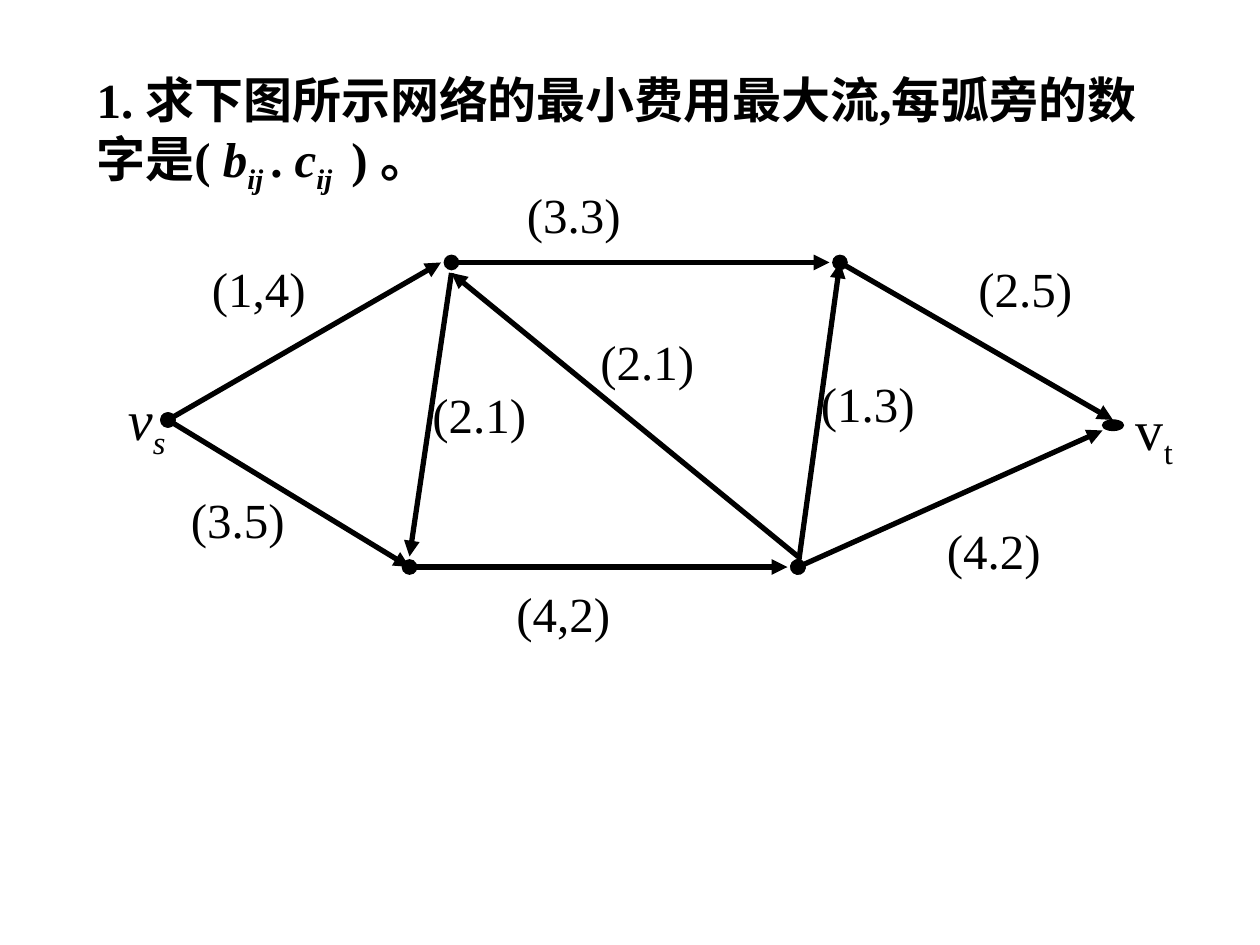
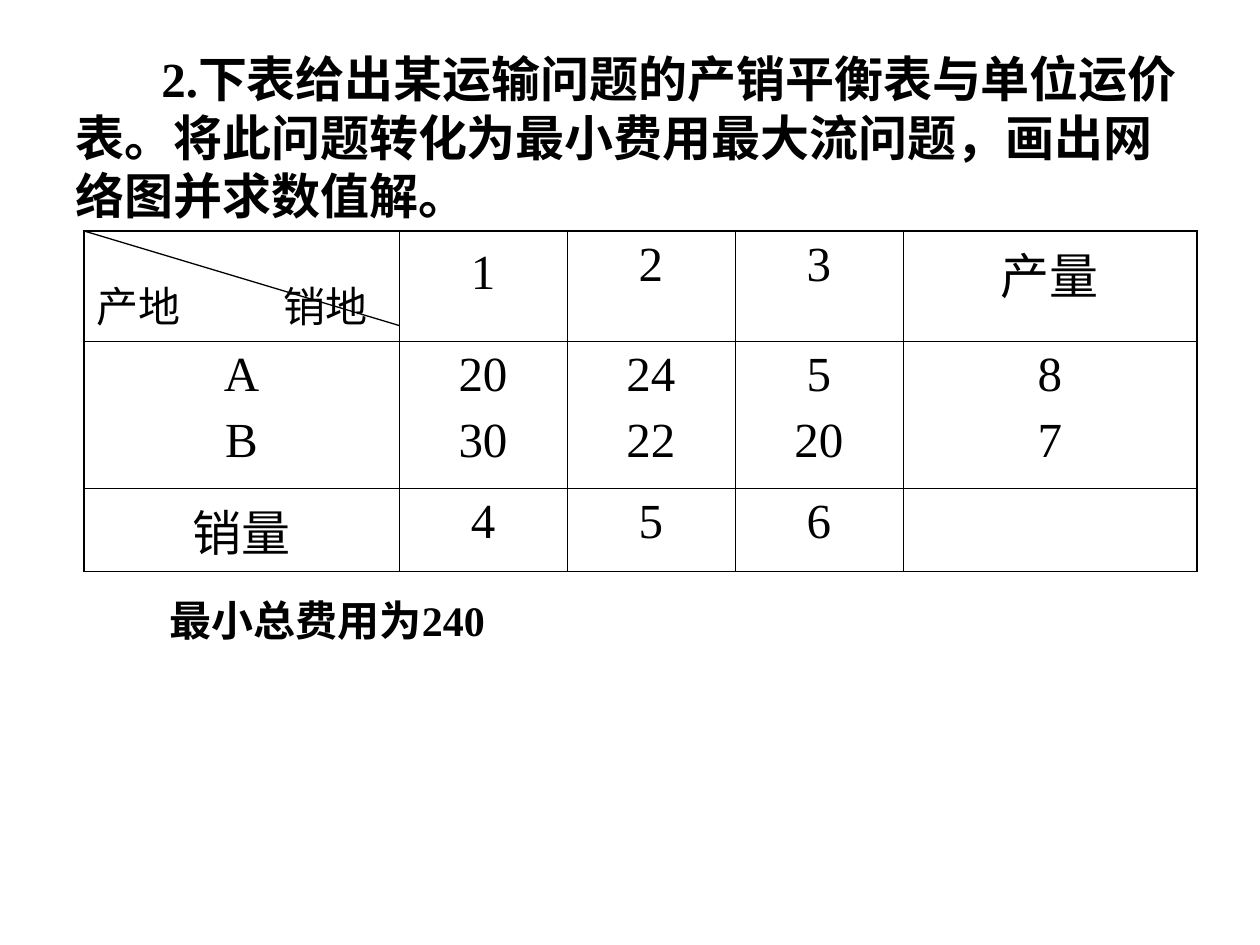
from dataclasses import dataclass

from lxml.etree import SubElement
from pptx import Presentation
from pptx.dml.color import RGBColor
from pptx.enum.shapes import MSO_CONNECTOR as Conn, MSO_SHAPE as Shape
from pptx.enum.text import MSO_ANCHOR as Anchor, MSO_AUTO_SIZE as Auto, PP_ALIGN as Align
from pptx.oxml.ns import qn
from pptx.util import Pt


@dataclass(frozen=True)
class Theme:
    """Colours, font, type sizes and line widths shared by the slides."""
    ink: RGBColor = RGBColor(0, 0, 0)
    paper: RGBColor = RGBColor(255, 255, 255)
    font: str = "Times New Roman"
    body: float = 28
    node: float = 32
    small: float = 24
    arc: float = 3
    thin: float = 0.75
    grid: float = 0.45
    frame: float = 1.08


T = Theme()
SUB = {"sub": True}
ITALIC = {"italic": True}
ITALIC_SUB = {**ITALIC, **SUB}

ARCS = [
    ((0, 90), (156, 0), True),
    ((0, 90), (138, 174), True),
    ((162, 0), (378, 0), True),
    ((138, 174), (354, 174), True),
    ((162, 6), (138, 168), False),
    ((360, 174), (384, 0), True),
    ((360, 174), (534, 96), True),
    ((360, 168), (162, 6), False),
]
ARC_LABELS = [
    ("(1,4)", 18, -6, 102), ("(3.5)", 6, 126, 96), ("(2.1)", 144, 66, 72),
    ("(4,2)", 192, 180, 156), ("(2.1)", 240, 36, 120), ("(3.3)", 198, -48, 108),
    ("(2.5)", 456, -6, 78), ("(1.3)", 366, 60, 78), ("(4.2)", 438, 144, 96),
]
COLS = [180, 96, 96, 96, 168]
ROWS = [54, 84, 42]
CELLS = [
    ["产地\t销地", "1", "2", "3", "产量"],
    ["A\nB", "20\n30", "24\n22", "5\n20", "8\n7"],
    ["销量", "4", "5", "6", ""],
]


def set_all(obj, values):
    """Set every attribute named in values on obj."""
    for name, value in values.items():
        setattr(obj, name, value)


def write(p, runs, size, bold=False):
    """Add (text, format) runs to a paragraph in the shared font."""
    for text, fmt in runs:
        fmt = dict(fmt)
        sub = fmt.pop("sub", False)
        r = p.add_run()
        r.text = text
        set_all(r.font, {"name": T.font, "size": Pt(size), "bold": bold, **fmt})
        r.font.color.rgb = T.ink
        if sub:
            r.font._element.set("baseline", "-25000")


def add_label(slide, box, runs, size, bold=False):
    """Add a wrapping text box with one paragraph."""
    tf = slide.shapes.add_textbox(*map(Pt, box)).text_frame
    tf.word_wrap = True
    write(tf.paragraphs[0], runs, size, bold)


def add_title(slide, box, runs, indent=0):
    """Place the title placeholder in its box and write the problem in it."""
    sp = slide.shapes.title
    set_all(sp, dict(zip(("left", "top", "width", "height"), map(Pt, box))))
    tf = sp.text_frame
    set_all(tf, {"word_wrap": True, "auto_size": Auto.NONE, "vertical_anchor": Anchor.TOP})
    p = tf.paragraphs[0]
    p.alignment = Align.LEFT
    p._p.get_or_add_pPr().set("indent", str(Pt(indent)))
    write(p, runs, T.body, True)


def add_line(slide, start, end, width, head=None, tail=None):
    """Add a straight line with optional end marks."""
    c = slide.shapes.add_connector(Conn.STRAIGHT, *map(Pt, (*start, *end)))
    c.line.color.rgb = T.ink
    c.line.width = Pt(width)
    ln = c.line._get_or_add_ln()
    for tag, kind in (("a:headEnd", head), ("a:tailEnd", tail)):
        if kind:
            SubElement(ln, qn(tag), type=kind)
    SubElement(c._element.spPr, qn("a:effectLst"))
    return c


def add_network(slide, left, top):
    """Draw the network with its arcs, nodes and labels from one origin."""
    def at(x, y):
        return left + x, top + y

    sink = slide.shapes.add_shape(Shape.OVAL, *map(Pt, (*at(534, 90), 12, 6)))
    sink.shadow.inherit = False
    sink.fill.solid()
    sink.fill.fore_color.rgb = sink.line.color.rgb = T.ink
    sink.line.width = Pt(T.thin)
    for start, end, dot in ARCS:
        add_line(slide, at(*start), at(*end), T.arc, "oval" if dot else None, "triangle")
    c = add_line(slide, at(384, 0), at(540, 90), T.arc, "oval", "triangle")
    c.end_connect(sink, 0)
    for text, x, y, width in ARC_LABELS:
        add_label(slide, (*at(x, y), width, 41), [(text, {})], T.body)
    add_label(slide, (*at(-30, 66), 54, 51), [("v", ITALIC), ("s", ITALIC_SUB)], T.node)
    add_label(slide, (*at(546, 72), 66, 51), [("v", {}), ("t", SUB)], T.node)


def style_cell(cell, outer):
    """Draw the cell's borders, heavier on outer sides, with no fill."""
    tcPr = cell._tc.get_or_add_tcPr()
    for side in "LRTB":
        width = T.frame if side in outer else T.grid
        ln = SubElement(tcPr, qn(f"a:ln{side}"), w=str(Pt(width)))
        SubElement(SubElement(ln, qn("a:solidFill")), qn("a:srgbClr"), val=str(T.ink))
    cell.fill.background()


def fill_cell(cell, text):
    """Write one centred paragraph for each line of text."""
    tf = cell.text_frame
    for i, line in enumerate(text.split("\n")):
        p = tf.add_paragraph() if i else tf.paragraphs[0]
        p.alignment = Align.CENTER
        if i:
            p.space_before = Pt(7)
        write(p, [(line, {})], T.body)


def fill_corner(cell, text):
    """Write the two axis names of the corner cell, parted by a tab stop."""
    p = cell.text_frame.paragraphs[0]
    p.line_spacing = 1.6
    tabs = SubElement(p._p.get_or_add_pPr(), qn("a:tabLst"))
    SubElement(tabs, qn("a:tab"), pos=str(Pt(107)), algn="l")
    write(p, [(text, {})], T.small)


def add_cost_table(slide, left, top):
    """Add the supply, demand and unit cost table with its split corner."""
    box = map(Pt, (left, top, sum(COLS), sum(ROWS)))
    table = slide.shapes.add_table(len(ROWS), len(COLS), *box).table
    set_all(table, {"first_row": False, "horz_banding": False})
    for col, width in zip(table.columns, COLS):
        col.width = Pt(width)
    for row, height in zip(table.rows, ROWS):
        row.height = Pt(height)
    for i, texts in enumerate(CELLS):
        for j, text in enumerate(texts):
            cell = table.cell(i, j)
            edges = {"L": j == 0, "R": j == len(COLS) - 1, "T": i == 0, "B": i == len(ROWS) - 1}
            style_cell(cell, [side for side, on in edges.items() if on])
            if i == j == 0:
                fill_corner(cell, text)
            elif text:
                fill_cell(cell, text)
    table.cell(0, 1).text_frame.paragraphs[0].line_spacing = 1.15
    add_line(slide, (left, top), (left + COLS[0], top + ROWS[0]), T.thin)


def add_slide(prs):
    """Add a title-only slide on plain paper."""
    slide = prs.slides.add_slide(prs.slide_layouts[5])
    slide.background.fill.solid()
    slide.background.fill.fore_color.rgb = T.paper
    return slide


def build_network_slide(prs):
    """Build the minimum cost flow problem."""
    slide = add_slide(prs)
    add_title(slide, (48, 36, 624, 79), [
        ("1. 求下图所示网络的最小费用最大流,每弧旁的数字是( ", {}),
        ("b", ITALIC), ("ij ", ITALIC_SUB), (". ", {}),
        ("c", ITALIC), ("ij ", ITALIC_SUB), (" ) 。", {}),
    ])
    add_network(slide, 96, 150)


def build_transport_slide(prs):
    """Build the transport problem with its table and answer."""
    slide = add_slide(prs)
    problem = "2.下表给出某运输问题的产销平衡表与单位运价表。将此问题转化为最小费用最大流问题，画出网络图并求数值解。"
    add_title(slide, (36, 24, 654, 108), [(problem, {})], indent=49)
    add_cost_table(slide, 48, 132)
    add_label(slide, (90, 336, 216, 36), [("最小总费用为240", {})], T.small, True)


def main():
    """Build and save the presentation."""
    prs = Presentation()
    set_all(prs, {"slide_width": Pt(720), "slide_height": Pt(540)})
    build_network_slide(prs)
    build_transport_slide(prs)
    prs.save("out.pptx")


if __name__ == "__main__":
    main()
